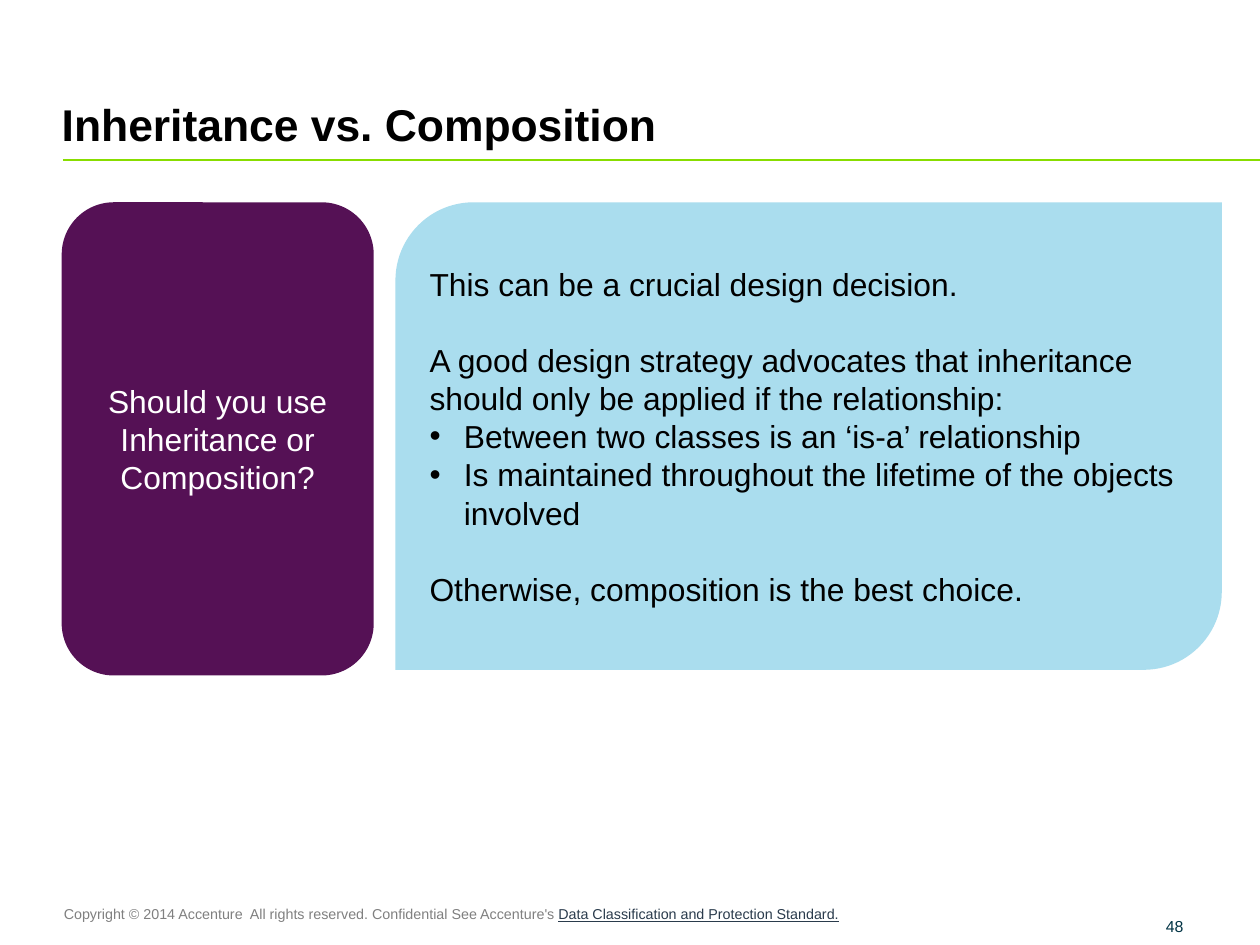
"""Build the slide on inheritance versus composition."""
import pptx
import pptx.util
import pptx.dml.color
import pptx.enum.shapes
import pptx.enum.text
import pptx.oxml.ns
import lxml.etree

Inches = pptx.util.Inches
Pt = pptx.util.Pt
RGBColor = pptx.dml.color.RGBColor
SHAPE = pptx.enum.shapes.MSO_SHAPE
ALIGN = pptx.enum.text.PP_ALIGN
ANCHOR = pptx.enum.text.MSO_ANCHOR
qn = pptx.oxml.ns.qn

BLACK = RGBColor(0x00, 0x00, 0x00)
WHITE = RGBColor(0xFF, 0xFF, 0xFF)
GREEN = RGBColor(0x88, 0xDD, 0x00)
PURPLE = RGBColor(0x55, 0x11, 0x55)
BLUE = RGBColor(0xAA, 0xDD, 0xEE)
GREY = RGBColor(0x80, 0x80, 0x80)
SLATE = RGBColor(0x2A, 0x3B, 0x4C)
NAVY = RGBColor(0x00, 0x33, 0x44)

WIDTH = Inches(28 / 2.54)
HEIGHT = Inches(21 / 2.54)
LINE = Pt(24)
ADVICE = [
    ("This can be a crucial design decision.", False, 0),
    ("A good design strategy advocates that inheritance should only be "
     "applied if the relationship:", False, LINE),
    ("Between two classes is an ‘is-a’ relationship", True, 0),
    ("Is maintained throughout the lifetime of the objects involved", True, 0),
    ("Otherwise, composition is the best choice.", False, LINE),
]


def add_run(para, text, size, color, bold=False, under=False):
    """Add one formatted run to a paragraph."""
    run = para.add_run()
    run.text = text
    font = run.font
    font.name = "Arial"
    font.size = Pt(size)
    font.bold = bold
    font.underline = under
    font.color.rgb = color


def set_frame(frame, anchor, left=0.1, top=0.05, right=0.1, bottom=0.05):
    """Set wrapping, anchor and insets of a text frame."""
    frame.word_wrap = True
    frame.auto_size = pptx.enum.text.MSO_AUTO_SIZE.NONE
    frame.vertical_anchor = anchor
    frame.margin_left, frame.margin_right = Inches(left), Inches(right)
    frame.margin_top, frame.margin_bottom = Inches(top), Inches(bottom)


def add_bullet(para):
    """Give a paragraph a black hanging bullet."""
    props = para._p.get_or_add_pPr()
    props.set("marL", str(Inches(0.3)))
    props.set("indent", str(Inches(-0.3)))
    color = lxml.etree.SubElement(props, qn("a:buClr"))
    lxml.etree.SubElement(color, qn("a:srgbClr"), val=str(BLACK))
    lxml.etree.SubElement(props, qn("a:buFont"), typeface="Arial")
    lxml.etree.SubElement(props, qn("a:buChar"), char="•")


def add_title(slide, text):
    """Place and fill the title placeholder."""
    title = slide.shapes.title
    title.left, title.top = Inches(0.54), Inches(0.37)
    title.width, title.height = Inches(10.48), Inches(0.95)
    set_frame(title.text_frame, ANCHOR.BOTTOM, left=0, bottom=0)
    para = title.text_frame.paragraphs[0]
    para.alignment = ALIGN.LEFT
    add_run(para, text, 28, BLACK, bold=True)


def add_rule(slide):
    """Draw the green rule under the title."""
    rule = slide.shapes.add_connector(
        pptx.enum.shapes.MSO_CONNECTOR.STRAIGHT,
        Inches(0.55), Inches(1.4), WIDTH, Inches(1.4))
    rule.line.color.rgb = GREEN
    rule.line.width = Pt(1)
    lxml.etree.SubElement(rule._element.spPr, qn("a:effectLst"))


def add_panel(slide, kind, left, width, height, fill, color, items, align):
    """Add a filled panel with its paragraphs."""
    panel = slide.shapes.add_shape(
        kind, Inches(left), Inches(1.77), Inches(width), Inches(height))
    panel.shadow.inherit = False
    panel.adjustments[0] = 0.167
    panel.fill.solid()
    panel.fill.fore_color.rgb = fill
    panel.line.fill.background()
    frame = panel.text_frame
    set_frame(frame, ANCHOR.MIDDLE)
    for index, (text, bullet, gap) in enumerate(items):
        para = frame.add_paragraph() if index else frame.paragraphs[0]
        if bullet:
            add_bullet(para)
        para.alignment = align
        para.line_spacing = LINE
        para.space_before = gap
        add_run(para, text, 20, color)


def add_label(slide, left, top, width, height):
    """Add a text box and return its shape."""
    return slide.shapes.add_textbox(
        Inches(left), Inches(top), Inches(width), Inches(height))


def add_footer(slide):
    """Add the copyright line and the page number."""
    frame = add_label(slide, 0.46, 7.87, 10.06, 0.25).text_frame
    set_frame(frame, ANCHOR.TOP)
    para = frame.paragraphs[0]
    add_run(para, "Copyright © 2014 Accenture  All rights reserved. "
            "Confidential See Accenture's ", 9, GREY)
    add_run(para, "Data Classification and Protection Standard.", 9, SLATE,
            under=True)
    frame = add_label(slide, 10.2, 7.88, 0.77, 0.31).text_frame
    set_frame(frame, ANCHOR.BOTTOM, 0, 0, 0, 0)
    add_run(frame.paragraphs[0], "48", 10, NAVY)


def main():
    """Build and save the slide."""
    deck = pptx.Presentation()
    deck.slide_width, deck.slide_height = WIDTH, HEIGHT
    slide = deck.slides.add_slide(deck.slide_layouts[5])
    add_rule(slide)
    add_footer(slide)
    add_title(slide, "Inheritance vs. Composition")
    query = [("Should you use Inheritance or Composition?", False, 0)]
    add_panel(slide, SHAPE.ROUNDED_RECTANGLE, 0.54, 2.73, 4.14,
              PURPLE, WHITE, query, ALIGN.CENTER)
    add_panel(slide, SHAPE.ROUND_2_DIAG_RECTANGLE, 3.46, 7.23, 4.09,
              BLUE, BLACK, ADVICE, ALIGN.LEFT)
    deck.save("out.pptx")


if __name__ == "__main__":
    main()
